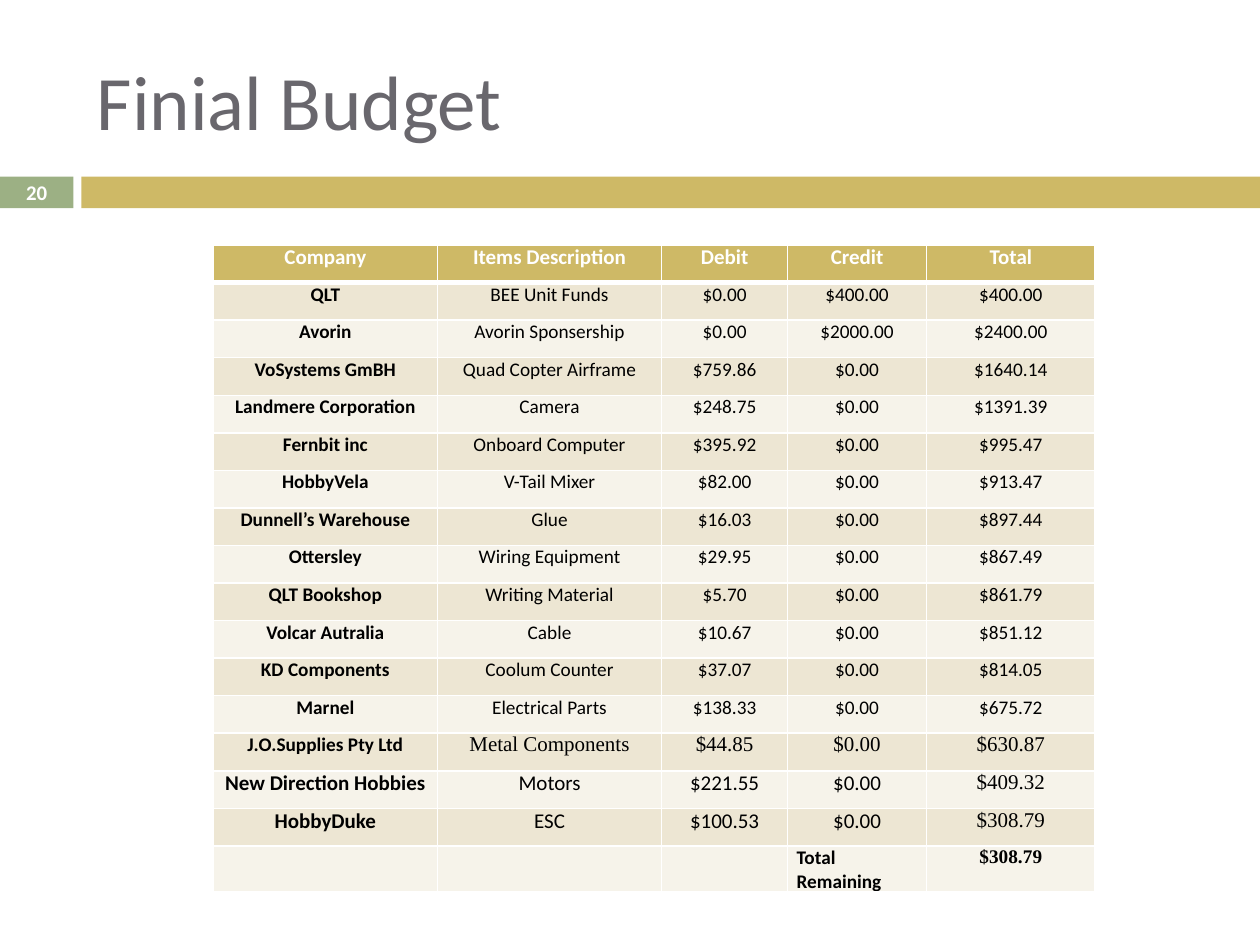
from lxml import etree
from pptx import Presentation
from pptx.dml.color import RGBColor
from pptx.enum.shapes import MSO_SHAPE
from pptx.enum.text import MSO_ANCHOR, PP_ALIGN
from pptx.oxml.ns import qn
from pptx.util import Cm, Pt

RECT = MSO_SHAPE.RECTANGLE
TOP, MIDDLE = MSO_ANCHOR.TOP, MSO_ANCHOR.MIDDLE
LEFT, CENTER = PP_ALIGN.LEFT, PP_ALIGN.CENTER

# Content
TITLE = "Finial Budget"
PAGE = "20"
HEADER = ("Company", "Items Description", "Debit", "Credit", "Total")
ENTRIES = [
    ("QLT", "BEE Unit Funds", "$0.00", "$400.00", "$400.00"),
    ("Avorin", "Avorin Sponsership", "$0.00", "$2000.00", "$2400.00"),
    ("VoSystems GmBH", "Quad Copter Airframe", "$759.86", "$0.00", "$1640.14"),
    ("Landmere Corporation", "Camera", "$248.75", "$0.00", "$1391.39"),
    ("Fernbit inc", "Onboard Computer", "$395.92", "$0.00", "$995.47"),
    ("HobbyVela", "V-Tail Mixer", "$82.00", "$0.00", "$913.47"),
    ("Dunnell’s Warehouse", "Glue", "$16.03", "$0.00", "$897.44"),
    ("Ottersley", "Wiring Equipment", "$29.95", "$0.00", "$867.49"),
    ("QLT Bookshop", "Writing Material", "$5.70", "$0.00", "$861.79"),
    ("Volcar Autralia", "Cable", "$10.67", "$0.00", "$851.12"),
    ("KD Components", "Coolum Counter", "$37.07", "$0.00", "$814.05"),
    ("Marnel", "Electrical Parts", "$138.33", "$0.00", "$675.72"),
    ("J.O.Supplies Pty Ltd", "Metal Components", "$44.85", "$0.00", "$630.87"),
    ("New Direction Hobbies", "Motors", "$221.55", "$0.00", "$409.32"),
    ("HobbyDuke", "ESC", "$100.53", "$0.00", "$308.79"),
]
SUMMARY = ("", "", "", "Total Remaining", "$308.79")

THEME = {
    "sans": "Calibri", "serif": "Times New Roman",
    "title": "69676D", "text": "000000", "white": "FFFFFF",
    "gold": "CEB966", "green": "9CB084", "bands": ("EDE6D3", "F6F3EA"),
    "title_size": 44, "page_size": 11.9, "large": 12, "small": 11,
}

# Layout in cm
SLIDE_W, SLIDE_H = 25.4, 19.05
BAR_TOP, BAR_H = 3.56, 0.64
PAGE_W, BAR_LEFT = 1.48, 1.64
TABLE_LEFT, TABLE_TOP, ROW_H = 4.3, 4.94, 0.757
COL_WIDTHS = (4.52, 4.52, 2.54, 2.8, 3.4)
CELL_PAD = 0.18


def rgb(name):
    return RGBColor.from_string(THEME.get(name, name))


def put_text(tf, text, *, size, color="text", font="sans", bold=False,
             align=CENTER, before=0):
    p = tf.paragraphs[0]
    p.alignment = align
    p.space_before = Pt(before)
    r = p.add_run()
    r.text = text
    r.font.name, r.font.size, r.font.bold = THEME[font], Pt(size), bold
    r.font.color.rgb = rgb(color)


def add_bar(s, left, width, color):
    sp = s.shapes.add_shape(RECT, Cm(left), Cm(BAR_TOP), Cm(width), Cm(BAR_H))
    sp.shadow.inherit = False
    sp.fill.solid()
    sp.fill.fore_color.rgb = rgb(color)
    sp.line.fill.background()
    return sp


def set_borders(cell, **widths):
    tc_pr = cell._tc.get_or_add_tcPr()
    for side in "LRTB":
        width = Pt(widths.get(side, 1))
        ln = etree.SubElement(tc_pr, qn(f"a:ln{side}"), w=str(width))
        fill = etree.SubElement(ln, qn("a:solidFill"))
        etree.SubElement(fill, qn("a:srgbClr"), val=THEME["white"])


def cell_format(row, col):
    """Type format of a cell, by its row and column."""
    last = len(ENTRIES) + 1
    fmt = {"size": THEME["small"], "bold": col == 0, "before": 6}
    if row == 0:
        fmt.update(size=THEME["large"], color="white", bold=True)
    elif row == last:
        fmt.update(bold=True)
        fmt.update({"font": "serif"} if col == 4 else {"align": LEFT})
    elif row == last - 3 and col > 0:
        fmt.update(size=THEME["large"], font="serif")
    elif row > last - 3:
        fmt.update(size=THEME["large"], font="serif" if col == 4 else "sans")
    return fmt


def add_budget(s):
    rows = [HEADER, *ENTRIES, SUMMARY]
    table = s.shapes.add_table(
        len(rows), len(HEADER), Cm(TABLE_LEFT), Cm(TABLE_TOP),
        Cm(sum(COL_WIDTHS)), Cm(ROW_H * len(rows))).table
    table.horz_banding = False
    for column, width in zip(table.columns, COL_WIDTHS):
        column.width = Cm(width)
    for i, row in enumerate(rows):
        table.rows[i].height = Cm(ROW_H)
        color = THEME["bands"][(i - 1) % 2] if i else "gold"
        for j, text in enumerate(row):
            cell = table.cell(i, j)
            cell.margin_left = cell.margin_right = Cm(CELL_PAD)
            cell.margin_top = cell.margin_bottom = 0
            cell.vertical_anchor = TOP
            set_borders(cell, T=3 if i == 1 else 1, B=3 if i == 0 else 1)
            cell.fill.solid()
            cell.fill.fore_color.rgb = rgb(color)
            if text:
                put_text(cell.text_frame, text, **cell_format(i, j))


def main():
    prs = Presentation()
    prs.slide_width, prs.slide_height = Cm(SLIDE_W), Cm(SLIDE_H)
    s = prs.slides.add_slide(prs.slide_layouts[6])

    # Bars, with the page number in the left one
    page = add_bar(s, 0, PAGE_W, "green")
    page.text_frame.vertical_anchor = MIDDLE
    put_text(page.text_frame, PAGE, size=THEME["page_size"], color="white",
             bold=True)
    add_bar(s, BAR_LEFT, SLIDE_W - BAR_LEFT, "gold")

    # Title
    tf = s.shapes.add_textbox(Cm(1.7), Cm(0.64), Cm(22.66), Cm(2.74)).text_frame
    tf.word_wrap = True
    tf.vertical_anchor = MIDDLE
    put_text(tf, TITLE, size=THEME["title_size"], color="title", align=LEFT)

    # Budget table
    add_budget(s)
    prs.save("out.pptx")


if __name__ == "__main__":
    main()
